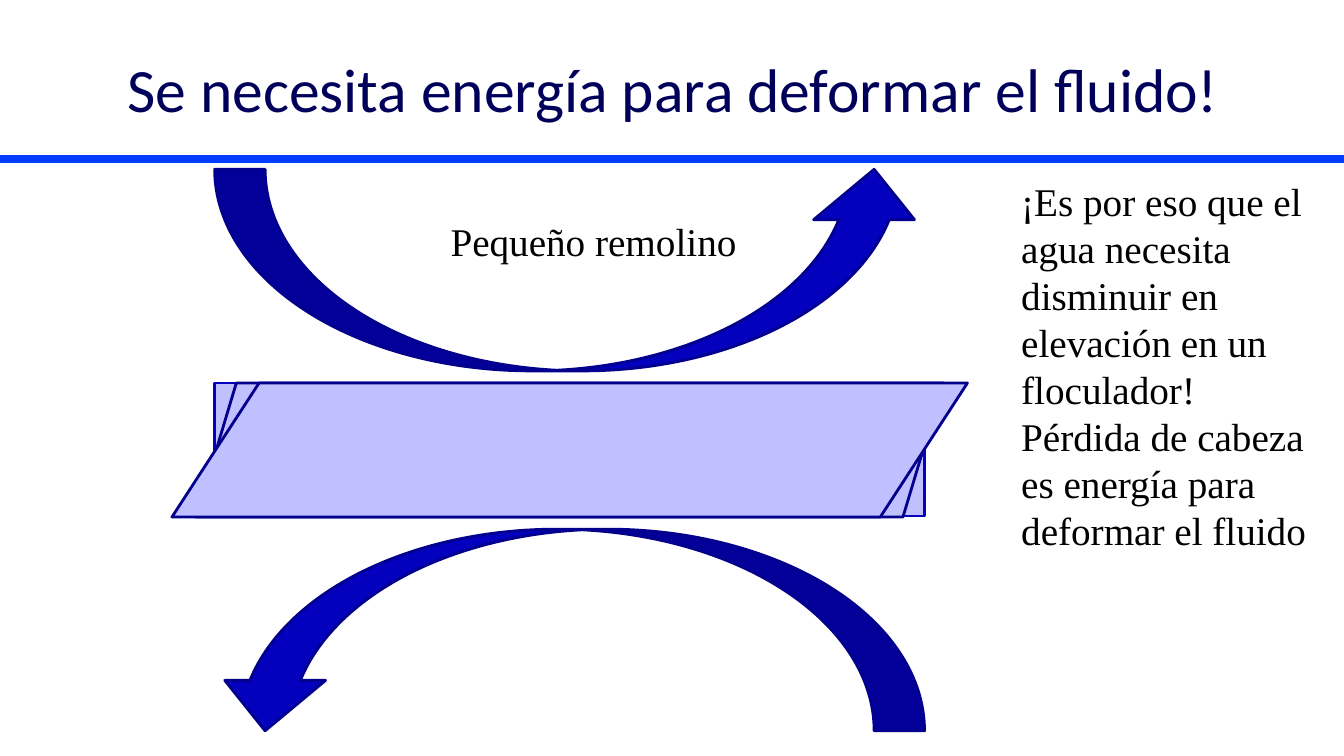
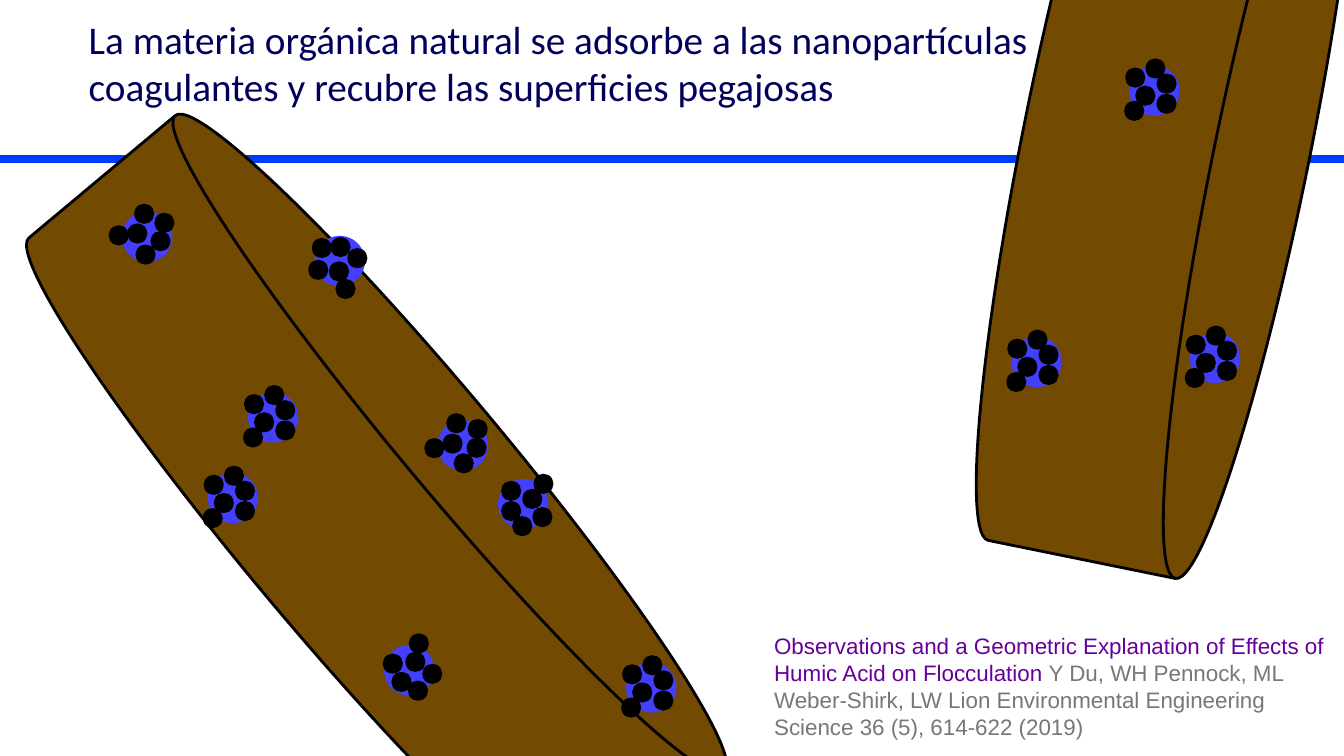
from math import cos, radians, sin

from lxml import etree
from pptx import Presentation
from pptx.dml.color import RGBColor
from pptx.enum.shapes import MSO_CONNECTOR, MSO_SHAPE
from pptx.enum.text import MSO_ANCHOR, MSO_AUTO_SIZE, PP_ALIGN
from pptx.oxml.ns import qn
from pptx.util import Inches, Pt

STRAIGHT = MSO_CONNECTOR.STRAIGHT
CIRCLE = MSO_SHAPE.OVAL
RECTANGLE = MSO_SHAPE.RECTANGLE
PARALLELOGRAM = MSO_SHAPE.PARALLELOGRAM
UP_ARROW = MSO_SHAPE.CURVED_UP_ARROW
DOWN_ARROW = MSO_SHAPE.CURVED_DOWN_ARROW
CYLINDER = MSO_SHAPE.FLOWCHART_MAGNETIC_DISK
LEFT, CENTER = PP_ALIGN.LEFT, PP_ALIGN.CENTER
TOP, MIDDLE = MSO_ANCHOR.TOP, MSO_ANCHOR.MIDDLE
NO_FIT = MSO_AUTO_SIZE.NONE
TITLE_ONLY = 5

NAVY = RGBColor(0x00, 0x00, 0x5A)
RULE_BLUE = RGBColor(0x00, 0x3C, 0xFE)
ARROW_BLUE = RGBColor(0x03, 0x00, 0xBE)
EDGE_BLUE = RGBColor(0x02, 0x00, 0x8D)
FLUID_BLUE = RGBColor(0xC0, 0xBF, 0xFF)
COAGULANT_BLUE = RGBColor(0x42, 0x3F, 0xFF)
CLAY_BROWN = RGBColor(0x72, 0x4A, 0x02)
BLACK = RGBColor(0x00, 0x00, 0x00)
PURPLE = RGBColor(0x66, 0x00, 0x99)
GRAY = RGBColor(0x77, 0x77, 0x77)

ENERGY_TITLE = "Se necesita energía para deformar el fluido!"
EDDY_LABEL = "Pequeño remolino"
HEAD_LOSS = [
    "¡Es por eso que el agua necesita disminuir en elevación en un floculador!",
    "Pérdida de cabeza es energía para deformar el fluido",
]
ORGANIC_TITLE = ("La materia orgánica natural se adsorbe a las nanopartículas "
                 "coagulantes y recubre las superficies pegajosas")
CITATION = [
    ("Observations and a Geometric Explanation of Effects of Humic Acid on Flocculation ", PURPLE),
    ("Y Du, WH Pennock, ML Weber-Shirk, LW Lion Environmental Engineering "
     "Science 36 (5), 614-622 (2019)", GRAY),
]

FLUID_LEFT, FLUID_WIDTH, FLUID_TOP = 2.13, 7.04, 3.8
FLUID_CENTER = FLUID_LEFT + FLUID_WIDTH / 2
EDDIES = [(UP_ARROW, 1.68, False), (DOWN_ARROW, 5.25, True)]
SHEARED = [(7.41, 0.3), (7.89, 0.65)]

CLAY_SIZE = (8.49, 2.84)
COAGULANT_SIZE, HUMIC_SIZE = 0.5, 0.2
HUMIC_OFFSETS = [(-0.19, -0.13), (-0.2, 0.2), (0.01, -0.22),
                 (-0.09, 0.05), (0.12, 0.13), (0.12, -0.07)]
CLAYS = [
    ((7.33, -0.03), 101.5, [(11.45, 0.9, 0), (12.05, 3.55, 0), (10.28, 3.59, 0)]),
    ((-0.51, 3.59), 50.1, [
        (5.19, 5, 180), (3.37, 2.59, 303.4), (2.31, 4.94, 0), (1.46, 2.35, 48),
        (6.46, 6.82, 0), (4.59, 4.42, 39.6), (4.06, 6.65, 154.5), (2.71, 4.14, 0),
    ]),
]


def inches(box):
    return [Inches(value) for value in box]


def add_titled_slide(deck, text, box, size, align, anchor):
    slide = deck.slides.add_slide(deck.slide_layouts[TITLE_ONLY])
    title = slide.shapes.title
    title.left, title.top, title.width, title.height = inches(box)
    frame = title.text_frame
    frame.text = text
    frame.auto_size = NO_FIT
    frame.word_wrap = True
    frame.vertical_anchor = anchor
    heading = frame.paragraphs[0]
    heading.alignment = align
    set_font(heading.font, "Calibri", size, NAVY)
    rule = slide.shapes.add_connector(STRAIGHT, 0, Inches(1.58), deck.slide_width, Inches(1.58))
    rule.line.color.rgb = RULE_BLUE
    rule.line.width = Pt(6)
    etree.SubElement(rule._element.spPr, qn("a:effectLst"))
    return slide


def set_font(font, name, size, color):
    font.name = name
    font.size = Pt(size)
    font.color.rgb = color


def add_outline(slide, kind, box, fill, edge=None):
    shape = slide.shapes.add_shape(kind, *inches(box))
    shape.shadow.inherit = False
    shape.fill.solid()
    shape.fill.fore_color.rgb = fill
    if edge is None:
        shape.line.fill.background()
    else:
        shape.line.color.rgb = edge
        shape.line.width = Pt(2)
    return shape


def add_text(slide, box, paragraphs, name, size, pitch, wrap=True):
    frame = slide.shapes.add_textbox(*inches(box)).text_frame
    frame.word_wrap = wrap
    for index, runs in enumerate(paragraphs):
        paragraph = frame.add_paragraph() if index else frame.paragraphs[0]
        paragraph.line_spacing = Pt(pitch)
        for text, color in runs:
            run = paragraph.add_run()
            run.text = text
            set_font(run.font, name, size, color)


def add_circle(slide, x, y, diameter, fill):
    add_outline(slide, CIRCLE, (x - diameter / 2, y - diameter / 2, diameter, diameter), fill)


def add_coated_particle(slide, x, y, angle):
    add_circle(slide, x, y, COAGULANT_SIZE, COAGULANT_BLUE)
    c, s = cos(radians(angle)), sin(radians(angle))
    for dx, dy in HUMIC_OFFSETS:
        add_circle(slide, x + dx * c - dy * s, y + dx * s + dy * c, HUMIC_SIZE, BLACK)


def build_energy_slide(deck):
    slide = add_titled_slide(deck, ENERGY_TITLE, (0.5, 0.25, 12.36, 1.25), 44, CENTER, MIDDLE)
    for kind, top, mirrored in EDDIES:
        eddy = add_outline(slide, kind, (FLUID_LEFT, top, FLUID_WIDTH, 2), ARROW_BLUE, EDGE_BLUE)
        if mirrored:
            eddy._element.spPr.get_or_add_xfrm().set("flipH", "1")
    add_outline(slide, RECTANGLE, (FLUID_LEFT, FLUID_TOP, FLUID_WIDTH, 1.32),
                FLUID_BLUE, ARROW_BLUE)
    for width, slant in SHEARED:
        box = (FLUID_CENTER - width / 2, FLUID_TOP, width, 1.33)
        fluid = add_outline(slide, PARALLELOGRAM, box, FLUID_BLUE, EDGE_BLUE)
        fluid.adjustments[0] = slant
    add_text(slide, (4.37, 2.11, 3.07, 0.57), [[(EDDY_LABEL, BLACK)]],
             "Times New Roman", 28, 33.6, wrap=False)
    add_text(slide, (10.03, 1.71, 3.18, 3.87), [[(text, BLACK)] for text in HEAD_LOSS],
             "Times New Roman", 28, 33.6)


def build_organic_slide(deck):
    slide = add_titled_slide(deck, ORGANIC_TITLE, (0.78, 0.1, 9.68, 1.25), 28, LEFT, TOP)
    for corner, angle, particles in CLAYS:
        clay = add_outline(slide, CYLINDER, corner + CLAY_SIZE, CLAY_BROWN, BLACK)
        clay.rotation = angle
        for particle in particles:
            add_coated_particle(slide, *particle)
    add_text(slide, (7.58, 6.22, 5.7, 1.18), [CITATION], "Arial", 16, 19.3)


def main():
    deck = Presentation()
    deck.slide_width, deck.slide_height = Inches(13.33), Inches(7.5)
    build_energy_slide(deck)
    build_organic_slide(deck)
    deck.save("out.pptx")


if __name__ == "__main__":
    main()
